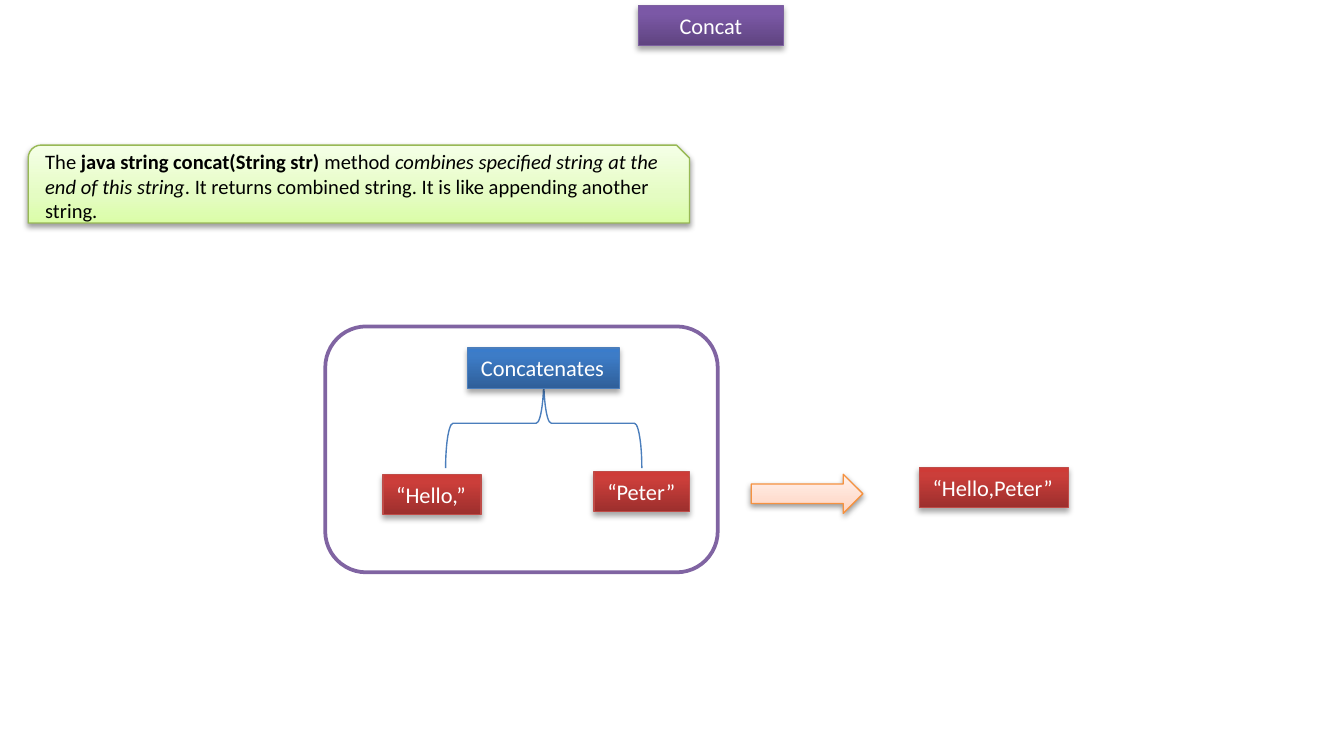
from dataclasses import dataclass

from lxml.etree import SubElement
from pptx import Presentation
from pptx.dml.color import RGBColor
from pptx.enum.shapes import MSO_SHAPE
from pptx.enum.text import MSO_ANCHOR, MSO_AUTO_SIZE, PP_ALIGN
from pptx.oxml.ns import qn
from pptx.shapes.autoshape import Shape
from pptx.slide import Slide
from pptx.util import Inches, Pt

FONT = "Calibri"
COLORS = {
    "white": "FFFFFF",
    "black": "000000",
    "frame": "8064A2",
    "purple": "7D60A0",
    "green": "98B955",
    "red": "BF4C48",
    "blue": "4B7EBC",
    "orange": "F69240",
}
# Gradient stops, from the bottom edge to the top: (percent, colour)
GRADIENTS = {
    "purple": [(0, "5F4480"), (80, "7B58A6"), (100, "7C57A8")],
    "green": [(0, "DAFDA7"), (35, "E4FCC2"), (100, "F5FFE7")],
    "red": [(0, "9C2F2D"), (80, "CB3E3A"), (100, "CE3B37")],
    "blue": [(0, "2F5F99"), (80, "3D7CC7"), (100, "3A7CCB")],
    "orange": [(0, "FFD2BD"), (35, "FFDED0"), (100, "FFF2ED")],
}


@dataclass
class Box:
    left: float
    top: float
    width: float
    height: float


@dataclass
class Label:
    text: str
    box: Box
    color: str


@dataclass
class Phrase:
    text: str
    bold: bool = False
    italic: bool = False


@dataclass
class Shadow:
    opacity: int
    blur: float
    distance: float


STRONG_SHADOW = Shadow(35, 3.1, 1.8)
SOFT_SHADOW = Shadow(38, 3.1, 1.6)

LABEL_HEIGHT = 0.3
LABELS = [
    Label("“Hello,”", Box(2.85, 3.53, 0.73, LABEL_HEIGHT), "red"),
    Label("“Peter”", Box(4.42, 3.51, 0.71, LABEL_HEIGHT), "red"),
    Label("“Hello,Peter”", Box(6.84, 3.48, 1.11, LABEL_HEIGHT), "red"),
    Label("Concatenates", Box(3.48, 2.59, 1.13, LABEL_HEIGHT), "blue"),
]
DEFINITION = [
    Phrase("The "),
    Phrase("java string concat(String str)", bold=True),
    Phrase(" method "),
    Phrase("combines specified string at the end of this string", italic=True),
    Phrase(". It returns combined string. It is like appending another string."),
]


def rgb(name: str) -> RGBColor:
    return RGBColor.from_string(COLORS[name])


def place(shape: Shape, box: Box) -> None:
    shape.left, shape.top = Inches(box.left), Inches(box.top)
    shape.width, shape.height = Inches(box.width), Inches(box.height)


def add_outline(slide: Slide, kind: MSO_SHAPE, box: Box, color: str,
                weight: float = 0.75) -> Shape:
    """Add an unfilled preset shape without a shadow."""
    shape = slide.shapes.add_shape(kind, 0, 0, 0, 0)
    place(shape, box)
    shape.shadow.inherit = False
    shape.fill.background()
    shape.line.color.rgb = rgb(color)
    shape.line.width = Pt(weight)
    return shape


def apply_effects(shape: Shape, color: str, shadow: Shadow) -> None:
    """Give a shape its vertical gradient, thin line and drop shadow."""
    shape.fill.gradient()
    shape.fill.gradient_angle = 90
    properties = shape._element.spPr
    stops = properties.find(qn("a:gradFill")).find(qn("a:gsLst"))
    for stop in list(stops):
        stops.remove(stop)
    for percent, value in GRADIENTS[color]:
        stop = SubElement(stops, qn("a:gs"), pos=str(percent * 1000))
        SubElement(stop, qn("a:srgbClr"), val=value)

    shape.line.color.rgb = rgb(color)
    shape.line.width = Pt(0.75)

    shape.shadow.inherit = False
    outer = SubElement(properties.find(qn("a:effectLst")), qn("a:outerShdw"),
                       blurRad=str(Pt(shadow.blur)), dist=str(Pt(shadow.distance)),
                       dir="5400000", rotWithShape="0")
    tint = SubElement(outer, qn("a:srgbClr"), val=COLORS["black"])
    SubElement(tint, qn("a:alpha"), val=str(shadow.opacity * 1000))


def format_text(shape: Shape, size: int, color: str, align: PP_ALIGN,
                anchor: MSO_ANCHOR, wrap: bool = True) -> None:
    frame = shape.text_frame
    frame.word_wrap = wrap
    frame.vertical_anchor = anchor
    paragraph = frame.paragraphs[0]
    paragraph.alignment = align
    for run in paragraph.runs:
        run.font.name = FONT
        run.font.size = Pt(size)
        run.font.color.rgb = rgb(color)


def add_title(slide: Slide, text: str, box: Box) -> None:
    title = slide.shapes.title
    place(title, box)
    title.text_frame.text = text
    title.text_frame.auto_size = MSO_AUTO_SIZE.NONE
    apply_effects(title, "purple", STRONG_SHADOW)
    format_text(title, 12, "white", PP_ALIGN.CENTER, MSO_ANCHOR.TOP)


def add_label(slide: Slide, label: Label) -> None:
    shape = add_outline(slide, MSO_SHAPE.RECTANGLE, label.box, label.color)
    apply_effects(shape, label.color, STRONG_SHADOW)
    shape.text_frame.text = label.text
    shape.text_frame.auto_size = MSO_AUTO_SIZE.SHAPE_TO_FIT_TEXT
    format_text(shape, 12, "white", PP_ALIGN.LEFT, MSO_ANCHOR.TOP, wrap=False)


def add_definition(slide: Slide, phrases: list[Phrase], box: Box) -> None:
    shape = add_outline(slide, MSO_SHAPE.SNIP_ROUND_RECTANGLE, box, "green")
    apply_effects(shape, "green", SOFT_SHADOW)
    paragraph = shape.text_frame.paragraphs[0]
    for phrase in phrases:
        run = paragraph.add_run()
        run.text = phrase.text
        run.font.bold = phrase.bold
        run.font.italic = phrase.italic
    format_text(shape, 11, "black", PP_ALIGN.LEFT, MSO_ANCHOR.MIDDLE)


def main() -> None:
    deck = Presentation()
    deck.slide_width, deck.slide_height = Inches(10), Inches(5.5)
    slide = deck.slides.add_slide(deck.slide_layouts[5])

    add_title(slide, "Concat", Box(4.75, 0.04, 1.08, LABEL_HEIGHT))

    frame = add_outline(slide, MSO_SHAPE.ROUNDED_RECTANGLE,
                        Box(2.42, 2.43, 2.92, 1.83), "frame", weight=2)
    frame.fill.solid()
    frame.fill.fore_color.rgb = rgb("white")

    add_definition(slide, DEFINITION, Box(0.21, 1.08, 4.92, 0.58))

    brace = add_outline(slide, MSO_SHAPE.LEFT_BRACE, Box(3.71, 2.42, 0.67, 1.46), "blue")
    brace.rotation = 90
    for label in LABELS:
        add_label(slide, label)

    arrow = add_outline(slide, MSO_SHAPE.RIGHT_ARROW, Box(5.59, 3.53, 0.83, 0.29), "orange")
    apply_effects(arrow, "orange", SOFT_SHADOW)

    deck.save("out.pptx")


if __name__ == "__main__":
    main()
